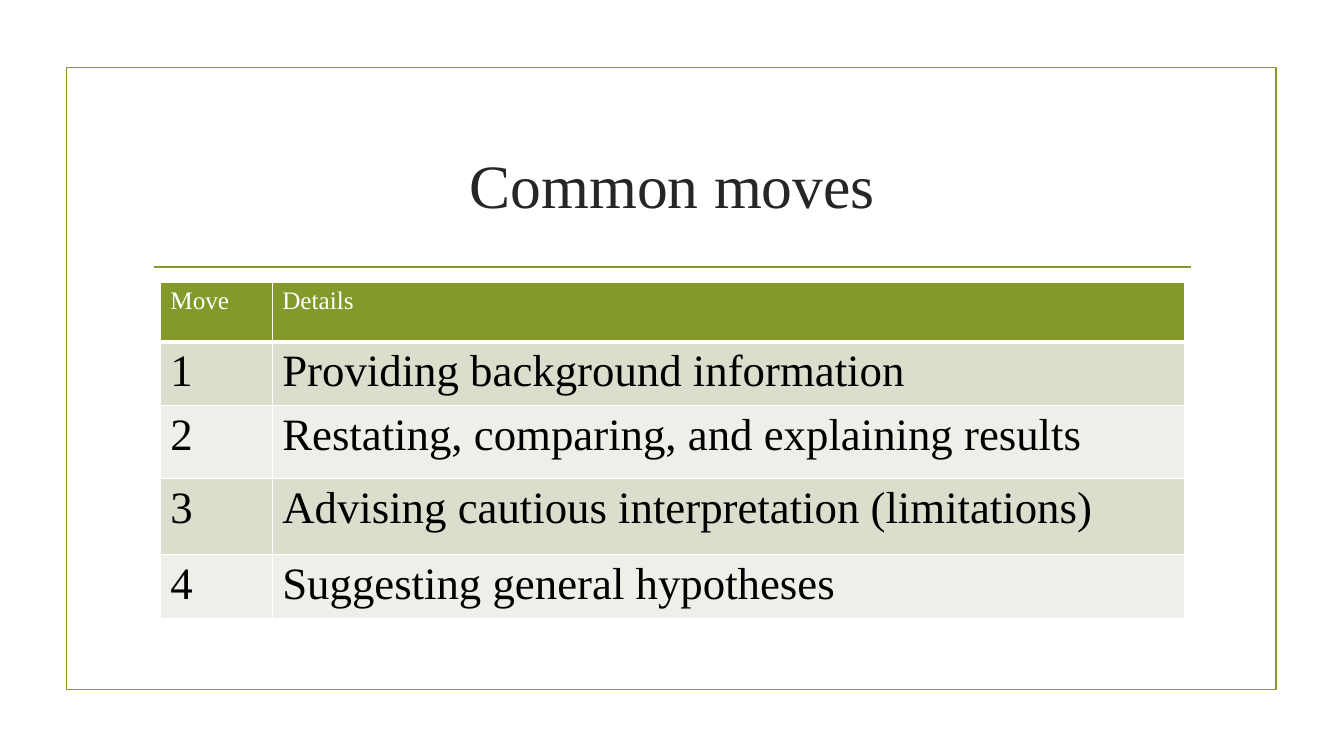
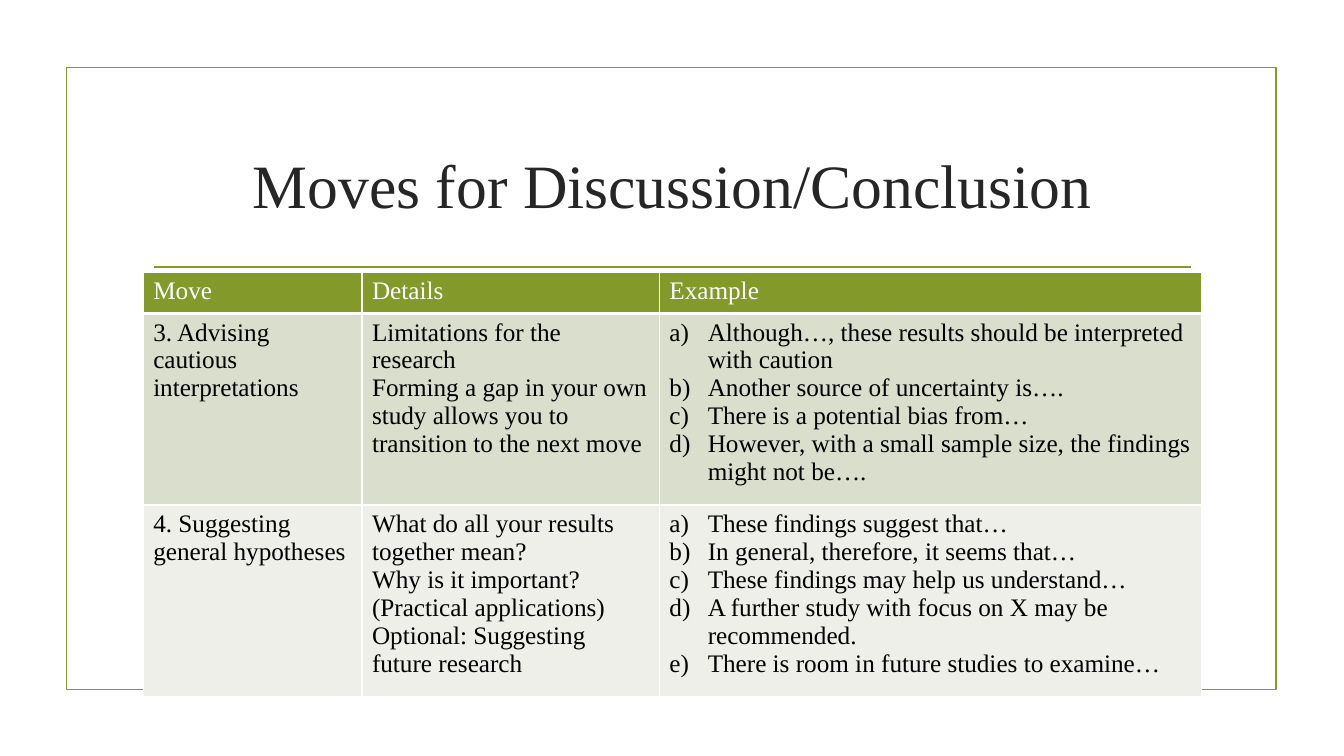
"""Build two slides of tables on the common moves of a discussion section."""
import dataclasses

import pptx
import pptx.dml.color
import pptx.enum.shapes
import pptx.enum.text
import pptx.oxml.ns
import pptx.util
from lxml import etree

PX = 9144


@dataclasses.dataclass(frozen=True)
class Theme:
    font: str = "Times New Roman"
    accent: str = "83992A"
    title: str = "262626"
    text: str = "000000"
    white: str = "FFFFFF"
    bands: tuple = ("D9DECD", "EDEFE8")
    title_size: int = 44
    large_size: int = 32
    body_size: int = 18
    rule: float = 1.25
    border: int = 1
    header_border: int = 3


theme = Theme()
qn = pptx.oxml.ns.qn
rgb = pptx.dml.color.RGBColor.from_string


def style_text(para, size, color):
    for span in para.runs:
        span.font.name = theme.font
        span.font.size = pptx.util.Pt(size)
        span.font.color.rgb = rgb(color)


def add_border(cell, side, width):
    line = etree.SubElement(cell._tc.get_or_add_tcPr(), qn(f"a:ln{side}"), w=str(pptx.util.Pt(width)))
    fill = etree.SubElement(line, qn("a:solidFill"))
    etree.SubElement(fill, qn("a:srgbClr"), val=theme.white)


slides = [
    {
        "title": "Common moves",
        "left": 159,
        "top": 280,
        "columns": [111, 905],
        "heights": [59, 59, 72, 76, 59],
        "size": theme.large_size,
        "rows": [
            ["Move", "Details"],
            ["1", "Providing background information"],
            ["2", "Restating, comparing, and explaining results"],
            ["3", "Advising cautious interpretation (limitations)"],
            ["4", "Suggesting general hypotheses"],
        ],
    },
    {
        "title": "Moves for Discussion/Conclusion",
        "left": 142,
        "top": 270,
        "columns": [217, 295, 538],
        "heights": [41, 176, 176],
        "size": theme.body_size,
        "rows": [
            ["Move", "Details", "Example"],
            [
                "3. Advising cautious interpretations",
                "Limitations for the research\n"
                "Forming a gap in your own study allows you to transition to the next move",
                "Although…, these results should be interpreted with caution\n"
                "Another source of uncertainty is….\n"
                "There is a potential bias from…\n"
                "However, with a small sample size, the findings might not be….",
            ],
            [
                "4. Suggesting general hypotheses",
                "What do all your results together mean?\n"
                "Why is it important? (Practical applications)\n"
                "Optional: Suggesting future research",
                "These findings suggest that…\n"
                "In general, therefore, it seems that…\n"
                "These findings may help us understand…\n"
                "A further study with focus on X may be recommended.\n"
                "There is room in future studies to examine…",
            ],
        ],
    },
]

deck = pptx.Presentation()
deck.slide_width = 1333 * PX
deck.slide_height = 750 * PX

for content in slides:
    page = deck.slides.add_slide(deck.slide_layouts[6])
    page.background.fill.solid()
    page.background.fill.fore_color.rgb = rgb(theme.white)

    frame = page.shapes.add_shape(
        pptx.enum.shapes.MSO_SHAPE.RECTANGLE, 66 * PX, 67 * PX, 1200 * PX, 617 * PX
    )
    frame.shadow.inherit = False
    frame.fill.background()
    divider = page.shapes.add_connector(
        pptx.enum.shapes.MSO_CONNECTOR.STRAIGHT, 153 * PX, 265 * PX, 1181 * PX, 265 * PX
    )
    etree.SubElement(divider._element.spPr, qn("a:effectLst"))
    for outlined in (frame, divider):
        outlined.line.color.rgb = rgb(theme.accent)
        outlined.line.width = pptx.util.Pt(theme.rule)

    box = page.shapes.add_textbox(142 * PX, 107 * PX, 1050 * PX, 143 * PX)
    box.text_frame.word_wrap = True
    box.text_frame.vertical_anchor = pptx.enum.text.MSO_ANCHOR.MIDDLE
    box.text_frame.margin_top = 13 * PX
    box.text_frame.text = content["title"]
    para = box.text_frame.paragraphs[0]
    para.alignment = pptx.enum.text.PP_ALIGN.CENTER
    style_text(para, theme.title_size, theme.title)

    columns, heights, rows = content["columns"], content["heights"], content["rows"]
    table = page.shapes.add_table(
        len(rows), len(columns), content["left"] * PX, content["top"] * PX,
        sum(columns) * PX, sum(heights) * PX,
    ).table
    for column, width in zip(table.columns, columns):
        column.width = width * PX
    for row, height in zip(table.rows, heights):
        row.height = height * PX

    for row_index, row in enumerate(rows):
        header = row_index == 0
        fill_color = theme.accent if header else theme.bands[(row_index - 1) % 2]
        text_color = theme.white if header else theme.text
        size = theme.body_size if header else content["size"]
        top_border = theme.header_border if row_index == 1 else theme.border
        bottom_border = theme.header_border if header else theme.border
        for column_index, text in enumerate(row):
            cell = table.cell(row_index, column_index)
            for side, width in zip("LRTB", (theme.border, theme.border, top_border, bottom_border)):
                add_border(cell, side, width)
            cell.fill.solid()
            cell.fill.fore_color.rgb = rgb(fill_color)
            cell.text_frame.text = text
            numbered = rows[0][column_index] == "Example" and not header
            for para in cell.text_frame.paragraphs:
                style_text(para, size, text_color)
                if numbered:
                    properties = para._p.get_or_add_pPr()
                    properties.set("marL", str(38 * PX))
                    properties.set("indent", str(-38 * PX))
                    etree.SubElement(properties, qn("a:buFont"), typeface="+mj-lt")
                    etree.SubElement(properties, qn("a:buAutoNum"), type="alphaLcParenR")

deck.save("out.pptx")
